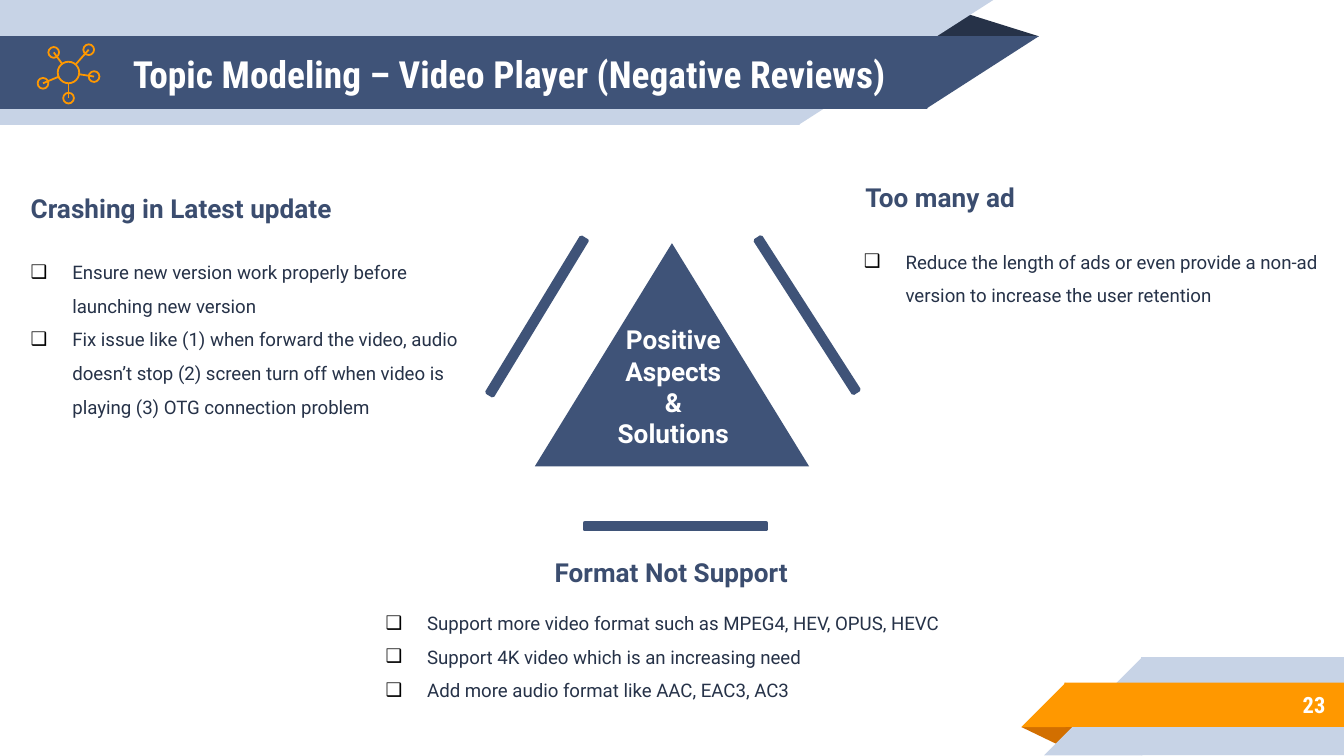
from dataclasses import dataclass
from math import hypot

from lxml import etree
from pptx import Presentation
from pptx.dml.color import RGBColor
from pptx.enum.shapes import MSO_CONNECTOR, MSO_SHAPE
from pptx.enum.text import MSO_ANCHOR, MSO_AUTO_SIZE, PP_ALIGN
from pptx.oxml.ns import qn
from pptx.util import Inches, Pt

RECT, TRIANGLE = MSO_SHAPE.RECTANGLE, MSO_SHAPE.ISOSCELES_TRIANGLE
CORNER, OVAL = MSO_SHAPE.RIGHT_TRIANGLE, MSO_SHAPE.OVAL
STRAIGHT = MSO_CONNECTOR.STRAIGHT
LEFT, CENTER, RIGHT = PP_ALIGN.LEFT, PP_ALIGN.CENTER, PP_ALIGN.RIGHT
MIDDLE, TOP = MSO_ANCHOR.MIDDLE, MSO_ANCHOR.TOP
GROW = MSO_AUTO_SIZE.SHAPE_TO_FIT_TEXT
OVERLAP = 0.01


@dataclass(frozen=True)
class Theme:
    navy: str = "3F5378"
    ink: str = "263248"
    heading: str = "3B4D6F"
    pale: str = "C7D3E6"
    orange: str = "FF9800"
    rust: str = "D26F00"
    white: str = "FFFFFF"
    black: str = "000000"
    body_font: str = "Roboto"
    display_font: str = "Roboto Condensed"
    title_size: int = 20
    heading_size: int = 14
    number_size: int = 12
    body_size: int = 10
    icon_line: float = 0.96
    bar_line: float = 2


class SlideBuilder:
    def __init__(self, slide, theme):
        self.slide, self.theme = slide, theme

    def outline(self, line, color, width):
        line.color.rgb = RGBColor.from_string(color)
        line.width = Pt(width)

    def shape(self, kind, box, fill=None, line=None, width=1, rotation=0, flip=False):
        shape = self.slide.shapes.add_shape(kind, *map(Inches, box))
        shape.shadow.inherit = False
        shape.rotation = rotation
        if fill:
            shape.fill.solid()
            shape.fill.fore_color.rgb = RGBColor.from_string(fill)
        else:
            shape.fill.background()
        if line:
            self.outline(shape.line, line, width)
            etree.SubElement(shape.element.spPr.find(qn("a:ln")), qn("a:round"))
        else:
            shape.line.fill.background()
        if flip:
            shape.element.spPr.find(qn("a:xfrm")).set("flipH", "1")
        return shape

    def ribbon(self, left, top, body, tip, height, fill, tip_right):
        """A rectangle that ends in a slanted tip on one side, with no seam."""
        body_left = left if tip_right else left + tip - OVERLAP
        tip_left = left + body if tip_right else left
        self.shape(RECT, (body_left, top, body + OVERLAP, height), fill)
        self.shape(CORNER, (tip_left, top, tip, height), fill,
                   rotation=180 if tip_right else 0, flip=True)

    def fold(self, box, fill, rotation=0):
        self.shape(TRIANGLE, box, fill, rotation=rotation).adjustments[0] = 0.324

    def spoke(self, start, end):
        spoke = self.slide.shapes.add_connector(STRAIGHT, *map(Inches, start + end))
        self.outline(spoke.line, self.theme.orange, self.theme.icon_line)
        etree.SubElement(spoke.element.spPr, qn("a:effectLst"))

    def bullet(self, paragraph):
        paragraph.line_spacing = 1.5
        properties = paragraph._p.get_or_add_pPr()
        properties.set("marL", str(Inches(0.31)))
        properties.set("indent", str(-Inches(0.31)))
        color = etree.SubElement(properties, qn("a:buClr"))
        etree.SubElement(color, qn("a:srgbClr"), val=self.theme.black)
        etree.SubElement(properties, qn("a:buFont"), typeface=self.theme.body_font)
        etree.SubElement(properties, qn("a:buChar"), char="❑")

    def text(self, box, lines, size, color, font=None, bold=True, align=LEFT,
             anchor=TOP, grow=True, bullets=False):
        frame = self.slide.shapes.add_textbox(*map(Inches, box)).text_frame
        frame.word_wrap = True
        frame.vertical_anchor = anchor
        if grow:
            frame.auto_size = GROW
        else:
            frame.margin_top = frame.margin_bottom = Inches(0.1)
        style = {"size": Pt(size), "name": font or self.theme.body_font, "bold": bold}
        for index, line in enumerate(lines):
            paragraph = frame.paragraphs[0] if index == 0 else frame.add_paragraph()
            paragraph.alignment = align
            if bullets:
                self.bullet(paragraph)
            run = paragraph.add_run()
            run.text = line
            for name, value in style.items():
                setattr(run.font, name, value)
            run.font.color.rgb = RGBColor.from_string(color)

    def topic(self, heading_box, heading, list_box, items, align=LEFT):
        theme = self.theme
        self.text(heading_box, [heading], theme.heading_size, theme.heading, align=align)
        self.text(list_box, items, theme.body_size, theme.ink, bold=False, bullets=True)

    def network_icon(self, hub, hub_radius, nodes, node_radius):
        def ring(center, radius):
            x, y = center
            self.shape(OVAL, (x - radius, y - radius, 2 * radius, 2 * radius),
                       line=self.theme.orange, width=self.theme.icon_line)

        ring(hub, hub_radius)
        for node in nodes:
            ring(node, node_radius)
            dx, dy = node[0] - hub[0], node[1] - hub[1]
            reach = hub_radius / hypot(dx, dy)
            self.spoke(node, (hub[0] + dx * reach, hub[1] + dy * reach))


def main():
    theme = Theme()
    deck = Presentation()
    deck.slide_width = Inches(10)
    deck.slide_height = deck.slide_width * 9 // 16
    page = SlideBuilder(deck.slides.add_slide(deck.slide_layouts[6]), theme)

    # Header and footer ribbons
    page.fold((6.88, 0.09, 0.85, 0.18), theme.ink)
    page.ribbon(0, 0, 5.94, 1.45, 0.93, theme.pale, tip_right=True)
    page.ribbon(0, 0.27, 6.89, 0.84, 0.54, theme.navy, tip_right=True)
    page.fold((7.6, 5.41, 0.43, 0.14), theme.rust, rotation=180)
    page.ribbon(7.77, 4.89, 1.5, 0.73, 0.73, theme.pale, tip_right=False)
    page.ribbon(7.6, 5.08, 2.07, 0.33, 0.33, theme.orange, tip_right=False)

    # Title, page number and icon
    page.text((0.89, 0.27, 6.18, 0.56), ["Topic Modeling – Video Player (Negative Reviews)"],
              theme.title_size, theme.white, theme.display_font, anchor=MIDDLE, grow=False)
    page.text((8.33, 5.07, 1.63, 0.35), ["23"], theme.number_size, theme.white,
              theme.display_font, align=RIGHT, anchor=MIDDLE, grow=False)
    page.network_icon((0.51, 0.54), 0.08,
                      [(0.66, 0.37), (0.4, 0.39), (0.32, 0.62), (0.51, 0.73), (0.7, 0.57)],
                      0.04)

    # Topics around the triangle
    page.topic((6.34, 1.3, 2.82, 0.35), "Too many ad", (6.33, 1.73, 3.58, 0.58),
               ["Reduce the length of ads or even provide a non-ad version to increase "
                "the user retention"])
    page.topic((0.13, 1.38, 3.42, 0.34), "Crashing in Latest update", (0.13, 1.81, 3.39, 1.57),
               ["Ensure new version work properly before launching new version",
                "Fix issue like (1) when forward the video, audio doesn’t stop (2) screen "
                "turn off when video is playing (3) OTG connection problem"])
    page.topic((2.4, 4.09, 5.19, 0.34), "Format Not Support", (2.77, 4.42, 4.45, 0.83),
               ["Support more video format such as MPEG4, HEV, OPUS, HEVC",
                "Support 4K video which is an increasing need",
                "Add more audio format like AAC, EAC3, AC3"], align=CENTER)

    # Central triangle with a bar along each side
    page.shape(TRIANGLE, (3.98, 1.81, 2.04, 1.66), theme.navy)
    page.text((4.34, 2.36, 1.34, 1.04), ["Positive", "Aspects", "&", "Solutions"],
              theme.heading_size, theme.white, align=CENTER)
    for left, top, rotation in ((3.97, 1.68, 31.3), (5.98, 1.67, 147.3), (5, 3.24, 90)):
        page.shape(RECT, (left, top, 0.05, 1.35), theme.navy, theme.navy,
                   theme.bar_line, rotation)

    deck.save("out.pptx")


if __name__ == "__main__":
    main()
